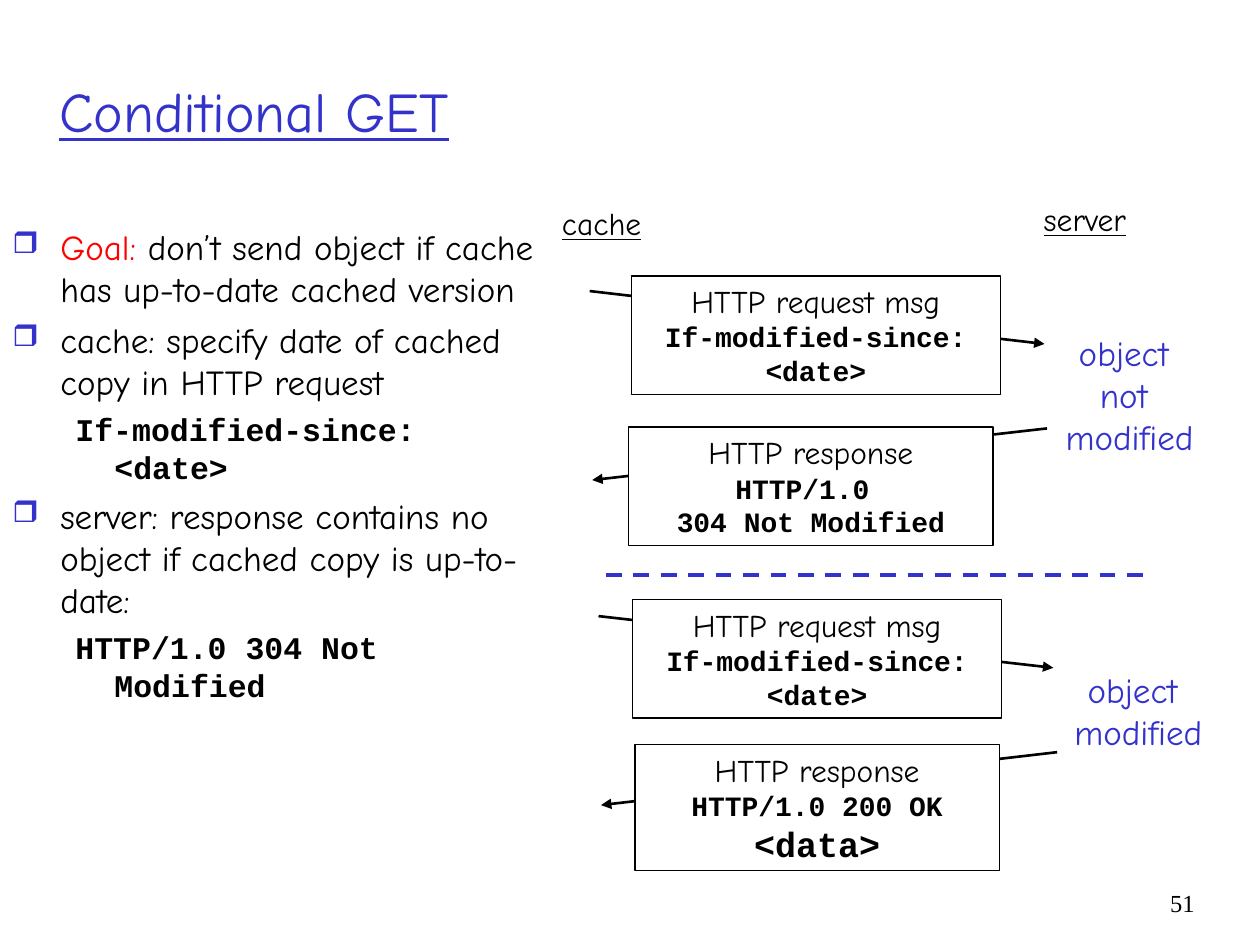
from lxml.etree import SubElement
from pptx import Presentation
from pptx.dml.color import RGBColor
from pptx.enum.dml import MSO_LINE
from pptx.enum.shapes import MSO_CONNECTOR, MSO_SHAPE
from pptx.enum.text import MSO_ANCHOR, MSO_AUTO_SIZE, PP_ALIGN
from pptx.oxml.ns import qn
from pptx.util import Inches, Pt

COLORS = {"blue": "3333CC", "red": "FF0000", "black": "000000", "white": "FFFFFF"}
HAND, CODE, SERIF = "Comic Neue", "Courier New", "Times New Roman"


def color(name):
    return RGBColor.from_string(COLORS[name])


def set_font(font, size, name=HAND, ink="black", underline=None):
    font.size, font.name, font.underline = Pt(size), name, underline
    font.bold = name == CODE
    font.color.rgb = color(ink)


def add_lines(frame, lines, align=PP_ALIGN.CENTER, **style):
    """Write one paragraph for each (text, size, font name)."""
    for index, (text, size, name) in enumerate(lines):
        paragraph = frame.paragraphs[0] if index == 0 else frame.add_paragraph()
        paragraph.text = text
        paragraph.alignment = align
        set_font(paragraph.font, size, name, **style)


def add_label(slide, box, lines, wrap=False, anchor=MSO_ANCHOR.TOP, **style):
    """Add a text box; without wrapping it grows to fit its lines."""
    frame = slide.shapes.add_textbox(*map(Inches, box)).text_frame
    frame.word_wrap = wrap
    if not wrap:
        frame.auto_size = MSO_AUTO_SIZE.SHAPE_TO_FIT_TEXT
    frame.vertical_anchor = anchor
    add_lines(frame, lines, **style)


def add_line(slide, start, end, ink="black", width=1.5):
    line = slide.shapes.add_connector(
        MSO_CONNECTOR.STRAIGHT, *map(Inches, (*start, *end)))
    line.line.color.rgb = color(ink)
    line.line.width = Pt(width)
    SubElement(line._element.spPr, qn("a:effectLst"))
    return line


def add_message(slide, start, end, box, lines):
    """Draw an arrow with the message box lying over its middle."""
    arrow = add_line(slide, start, end)
    SubElement(arrow.line._get_or_add_ln(), qn("a:tailEnd"), type="triangle")
    message = slide.shapes.add_shape(MSO_SHAPE.RECTANGLE, *map(Inches, box))
    message.shadow.inherit = False
    message.fill.solid()
    message.fill.fore_color.rgb = color("white")
    message.line.color.rgb = color("black")
    message.line.width = Pt(0.75)
    message.text_frame.word_wrap = True
    message.text_frame.vertical_anchor = MSO_ANCHOR.TOP
    add_lines(message.text_frame, lines)


def set_indent(paragraph, left, hanging):
    properties = paragraph._p.get_or_add_pPr()
    properties.set("marL", str(Inches(left)))
    properties.set("indent", str(-Inches(hanging)))
    return properties


def add_bullet(properties):
    bullet_color = SubElement(properties, qn("a:buClr"))
    SubElement(bullet_color, qn("a:srgbClr"), val=COLORS["blue"])
    SubElement(properties, qn("a:buSzPct"), val="85000")
    SubElement(properties, qn("a:buChar"), char="❒")


def add_points(slide, points):
    """Write (lead, text, is_code) points; code is indented without a bullet."""
    frame = slide.shapes.add_textbox(
        *map(Inches, (0, 1.74, 4.42, 4.71))).text_frame
    frame.word_wrap = True
    for index, (lead, text, is_code) in enumerate(points):
        paragraph = frame.paragraphs[0] if index == 0 else frame.add_paragraph()
        if index:
            paragraph.space_before = Pt(4.5 if is_code else 5)
        if is_code:
            paragraph.level = 1
            set_indent(paragraph, 0.81, 0.31)
            set_font(paragraph.font, 18, CODE)
        else:
            add_bullet(set_indent(paragraph, 0.38, 0.38))
            set_font(paragraph.font, 20)
        if lead:
            lead_run = paragraph.add_run()
            lead_run.text = lead
            lead_run.font.color.rgb = color("red")
        paragraph.add_run().text = text


def main():
    prs = Presentation()
    prs.slide_width, prs.slide_height = Inches(10), Inches(7.5)
    slide = prs.slides.add_slide(prs.slide_layouts[6])

    add_label(slide, (9.08, 7, 0.5, 0.5), [("51", 14, SERIF)], wrap=True,
              align=PP_ALIGN.RIGHT)
    add_label(slide, (0.37, 0.25, 8.71, 1.25), [("Conditional GET", 32, HAND)],
              wrap=True, anchor=MSO_ANCHOR.MIDDLE, align=PP_ALIGN.LEFT,
              ink="blue", underline=True)
    add_points(slide, [
        ("Goal:", " don’t send object if cache has up-to-date cached version", False),
        ("", "cache: specify date of cached copy in HTTP request", False),
        ("", "If-modified-since: <date>", True),
        ("", "server: response contains no object if cached copy is up-to-date:", False),
        ("", "HTTP/1.0 304 Not Modified", True),
    ])

    for host, box in (("cache", (4.36, 1.57, 0.83, 0.4)),
                      ("server", (8.18, 1.54, 0.86, 0.4))):
        add_label(slide, box, [(host, 18, HAND)], underline=True)

    request = [("HTTP request msg", 18, HAND),
               ("If-modified-since: <date>", 16, CODE)]
    response = ("HTTP response", 18, HAND)
    not_modified = [response, ("HTTP/1.0 ", 16, CODE),
                    ("304 Not Modified", 16, CODE)]
    with_data = [response, ("HTTP/1.0 200 OK", 16, CODE), ("<data>", 20, CODE)]
    for start, end, box, lines in (
        ((4.68, 2.31), (8.29, 2.73), (5.01, 2.19, 2.93, 0.94), request),
        ((8.31, 3.4), (4.7, 3.81), (4.99, 3.39, 2.89, 0.94), not_modified),
        ((4.75, 4.89), (8.36, 5.3), (5.02, 4.76, 2.93, 0.94), request),
        ((8.39, 5.97), (4.77, 6.39), (5.04, 5.91, 2.89, 1), with_data),
    ):
        add_message(slide, start, end, box, lines)

    divider = add_line(slide, (4.81, 4.56), (9.08, 4.56), "blue", 2.25)
    divider.line.dash_style = MSO_LINE.DASH

    for box, words in (((8.35, 2.58, 1.23, 1.1), ("object ", "not ", "modified")),
                       ((8.42, 5.26, 1.23, 0.77), ("object ", "modified"))):
        add_label(slide, box, [(word, 20, HAND) for word in words], ink="blue")

    prs.save("out.pptx")


if __name__ == "__main__":
    main()
